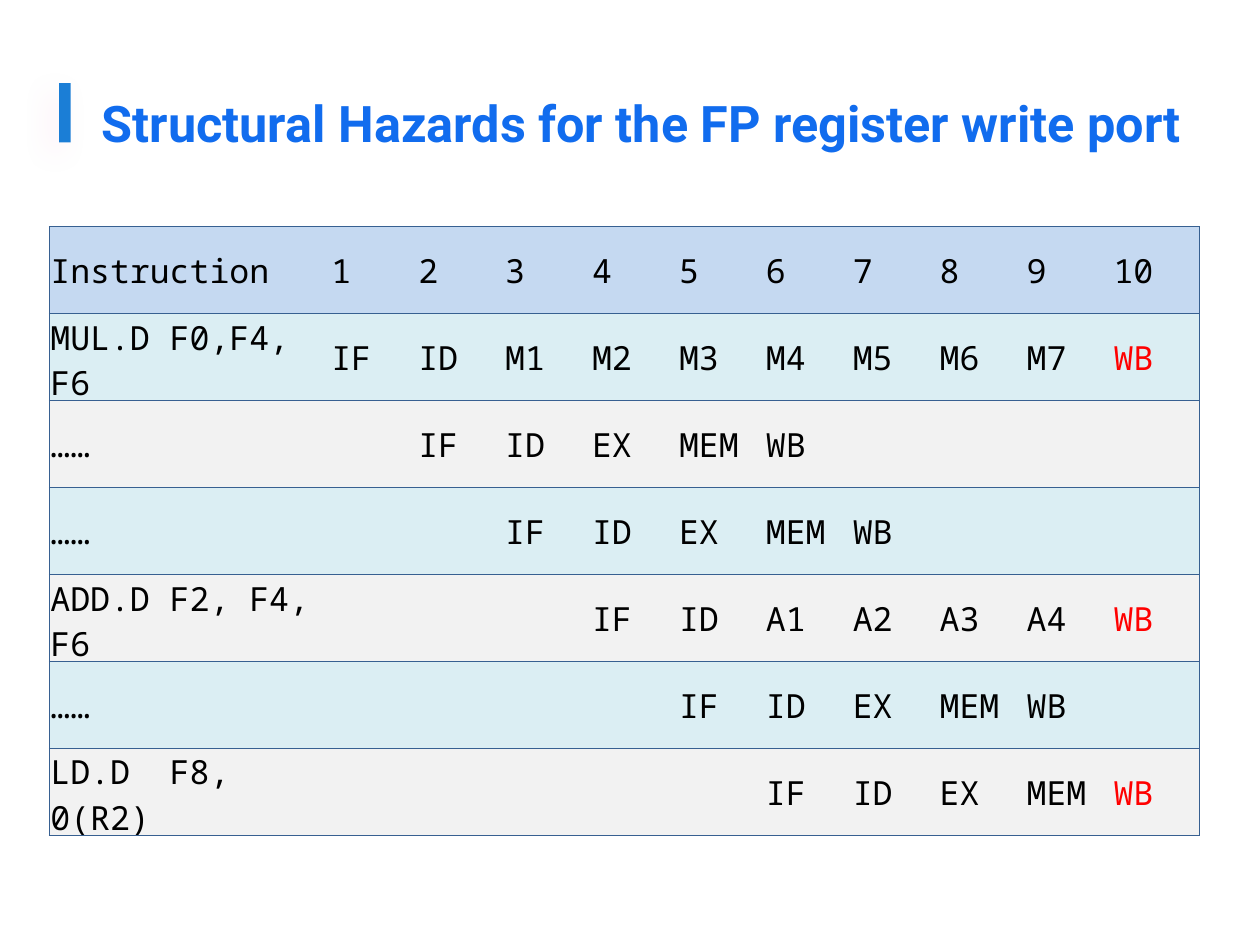
from lxml.etree import SubElement
from pptx import Presentation
from pptx.dml.color import RGBColor
from pptx.enum.shapes import MSO_SHAPE
from pptx.enum.text import MSO_ANCHOR
from pptx.oxml.ns import qn
from pptx.util import Inches, Pt

# Content: instruction, clock cycle it starts in, pipeline stages
TITLE = "Structural Hazards for the FP register write port"
CYCLES = 10
STEPS = [
    ("MUL.D F0,F4, F6", 1, "IF ID M1 M2 M3 M4 M5 M6 M7 WB"),
    ("……", 2, "IF ID EX MEM WB"),
    ("……", 3, "IF ID EX MEM WB"),
    ("ADD.D F2, F4, F6", 4, "IF ID A1 A2 A3 A4 WB"),
    ("……", 5, "IF ID EX MEM WB"),
    ("LD.D  F8, 0(R2)", 6, "IF ID EX MEM WB"),
]

THEME = {
    "title": {"name": "Roboto", "size": Pt(28.8), "bold": True},
    "cell": {"name": "Noto Sans Mono", "size": Pt(19), "bold": False},
    "blue": "116CEE", "bar": "1B7ED6", "glow": "FF5DA9",
    "ink": "000000", "clash": "FF0000", "rule": "376091",
    "head": "C5D9F1", "bands": ("DBEEF3", "F2F2F2"),
}
PAD = {"margin_left": Inches(0.01), "margin_right": Inches(0.01),
       "margin_top": Inches(0.01), "margin_bottom": 0,
       "vertical_anchor": MSO_ANCHOR.MIDDLE}
FRAME = {"margin_left": Inches(0.1), "margin_right": 0,
         "margin_top": 0, "margin_bottom": 0, "word_wrap": True,
         "vertical_anchor": MSO_ANCHOR.BOTTOM}


def apply(target, values):
    for key, value in values.items():
        setattr(target, key, value)


def paint(fill, color):
    fill.solid()
    fill.fore_color.rgb = RGBColor.from_string(color)


def write(frame, text, style, color):
    run = frame.paragraphs[0].add_run()
    run.text = text
    apply(run.font, style)
    run.font.color.rgb = RGBColor.from_string(color)


def edge(cell, sides):
    """Rule the given sides and clear the others."""
    props = cell._tc.get_or_add_tcPr()
    for side in "LRTB":
        line = SubElement(props, qn(f"a:ln{side}"), w=str(Pt(0.5)))
        if side in sides:
            solid = SubElement(line, qn("a:solidFill"))
            SubElement(solid, qn("a:srgbClr"), val=THEME["rule"])
        else:
            SubElement(line, qn("a:noFill"))


def glow(shape):
    """Give the shape a faint, soft shadow."""
    shape.shadow.inherit = False
    effects = shape._element.spPr.find(qn("a:effectLst"))
    shade = SubElement(effects, qn("a:outerShdw"), blurRad=str(Pt(16)),
                       dist=str(Pt(8)), dir=str(135 * 60000), rotWithShape="0")
    color = SubElement(shade, qn("a:srgbClr"), val=THEME["glow"])
    SubElement(color, qn("a:alpha"), val="10000")


def main():
    deck = Presentation()
    deck.slide_width, deck.slide_height = Inches(10), Inches(7.5)
    shapes = deck.slides.add_slide(deck.slide_layouts[6]).shapes

    # Accent bar
    bar = shapes.add_shape(MSO_SHAPE.RECTANGLE, Inches(0.47), Inches(0.66),
                           Inches(0.09), Inches(0.47))
    paint(bar.fill, THEME["bar"])
    bar.line.fill.background()
    glow(bar)

    # Title
    box = shapes.add_textbox(Inches(0.71), Inches(0.57),
                             Inches(8.78), Inches(0.64))
    apply(box.text_frame, FRAME)
    write(box.text_frame, TITLE, THEME["title"], THEME["blue"])

    # Pipeline table
    rows = [["Instruction", *map(str, range(1, CYCLES + 1))]]
    for name, start, stages in STEPS:
        row = [name] + [""] * (start - 1) + stages.split()
        rows.append(row + [""] * (CYCLES + 1 - len(row)))
    grid = shapes.add_table(len(rows), CYCLES + 1, Inches(0.39), Inches(1.8),
                            Inches(9.13), Inches(0.69 * len(rows))).table
    apply(grid, {"first_row": False, "horz_banding": False})
    for col, column in enumerate(grid.columns):
        column.width = Inches(0.69 if col else 2.23)

    for r, row in enumerate(rows):
        grid.rows[r].height = Inches(0.69)
        back = THEME["bands"][(r - 1) % 2] if r else THEME["head"]
        for c, text in enumerate(row):
            cell = grid.cell(r, c)
            apply(cell, PAD)
            edge(cell, "TB" + {0: "L", CYCLES: "R"}.get(c, ""))
            paint(cell.fill, back)
            if text:
                # Write-backs in the last cycle compete for the port
                clash = text == "WB" and c == CYCLES
                write(cell.text_frame, text, THEME["cell"],
                      THEME["clash" if clash else "ink"])

    deck.save("out.pptx")


if __name__ == "__main__":
    main()
